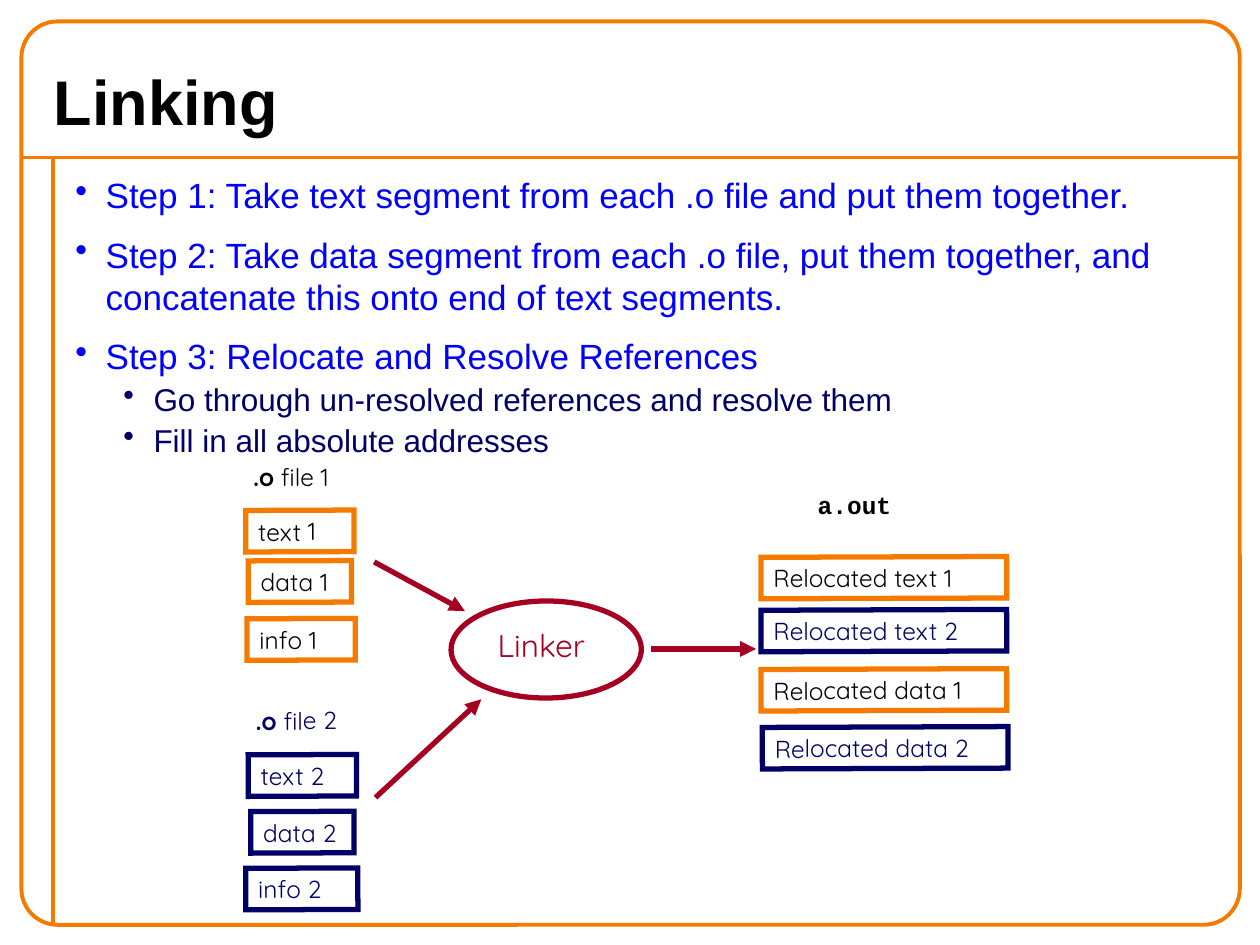
from pptx import Presentation
from pptx.util import Inches, Pt
from pptx.dml.color import RGBColor
from pptx.enum.shapes import MSO_SHAPE, MSO_CONNECTOR
from pptx.enum.text import MSO_ANCHOR, PP_ALIGN
from lxml import etree

ORANGE = RGBColor(0xF4, 0x7A, 0x00)
NAVY = RGBColor(0x00, 0x00, 0x66)
BLUE = RGBColor(0x00, 0x00, 0xFF)
RED = RGBColor(0xA5, 0x00, 0x21)
BLACK = RGBColor(0, 0, 0)
TILT = -0.2
HIGH = 0.33

STEPS = [
    (0, "Step 1: Take text segment from each .o file and put them together."),
    (0, "Step 2: Take data segment from each .o file, put them together, "
        "and concatenate this onto end of text segments."),
    (0, "Step 3: Relocate and Resolve References"),
    (1, "Go through un-resolved references and resolve them"),
    (1, "Fill in all absolute addresses"),
]
# level: size, colour, left indent, space before
LEVELS = [(20, BLUE, 0.24, 10), (18, NAVY, 0.62, 1.8)]

# line and text colour of each source file
FILES = {1: (ORANGE, BLACK), 2: (NAVY, NAVY)}
# text, file, left, top, width, wrap
BOXES = [
    ("text 1", 1, 1.95, 4.05, 0.86, True),
    ("data 1", 1, 1.97, 4.45, 0.82, False),
    ("info 1", 1, 1.96, 4.91, 0.86, True),
    ("text 2", 2, 1.97, 5.99, 0.86, True),
    ("data 2", 2, 1.99, 6.44, 0.82, False),
    ("info 2", 2, 1.95, 6.89, 0.89, True),
    ("Relocated text 1", 1, 6.04, 4.42, 1.95, True),
    ("Relocated text 2", 2, 6.04, 4.84, 1.95, True),
    ("Relocated data 1", 1, 6.04, 5.31, 1.95, True),
    ("Relocated data 2", 2, 6.05, 5.77, 1.95, True),
]
# bold part, plain part, place, size, font, colour, wrap
LABELS = [
    (".o", " file 1", (1.91, 3.62, 0.95, HIGH), 14, "Quicksand", BLACK, False),
    (".o", " file 2", (1.93, 5.55, 0.95, HIGH), 14, "Quicksand", NAVY, False),
    ("", "Linker", (3.85, 4.92, 0.96, 0.4), 18, "Quicksand", RED, False),
    ("a.out", "", (6.39, 3.84, 1.25, HIGH), 14, "Courier New", BLACK, True),
]
RULES = [(0.17, 1.25, 9.83, 1.25), (0.42, 1.25, 0.42, 7.33)]
ARROWS = [(2.97, 4.46, 3.69, 4.85), (2.98, 6.33, 3.82, 5.55),
          (5.17, 5.15, 6, 5.15)]

deck = Presentation()
deck.slide_width, deck.slide_height = Inches(10), Inches(7.5)
slide = deck.slides.add_slide(deck.slide_layouts[6])
shapes = slide.shapes


def add_tag(parent, name, **attrs):
    """Append a drawing element to parent."""
    uri = "http://schemas.openxmlformats.org/drawingml/2006/main"
    return etree.SubElement(parent, "{%s}%s" % (uri, name), attrs)


def set_font(font, size, name, color):
    """Set size, face and colour of a font."""
    font.size, font.name = Pt(size), name
    font.color.rgb = color


def draw_line(ends, color, width, arrow=False):
    """Draw a straight line, with an arrowhead at its end if asked."""
    line = shapes.add_connector(MSO_CONNECTOR.STRAIGHT, *map(Inches, ends))
    line.line.color.rgb, line.line.width = color, Pt(width)
    props = line._element.spPr
    if arrow:
        add_tag(props.find("{*}ln"), "tailEnd", type="triangle")
    add_tag(props, "effectLst")


def draw_shape(kind, place, color, width, tilt=0):
    """Draw an unfilled outline shape with sharp corners."""
    shape = shapes.add_shape(kind, *map(Inches, place))
    shape.shadow.inherit = False
    shape.fill.background()
    shape.line.color.rgb, shape.line.width = color, Pt(width)
    add_tag(shape._element.spPr.find("{*}ln"), "miter", lim="800000")
    shape.rotation = tilt
    return shape


def add_text(place, wrap=True, tilt=0):
    """Add a text box and return its frame."""
    box = shapes.add_textbox(*map(Inches, place))
    box.rotation = tilt
    box.text_frame.word_wrap = wrap
    return box.text_frame


def add_step(para, level, text):
    """Fill one bulleted paragraph."""
    size, color, left, before = LEVELS[level]
    para.text, para.level = text, level
    para.space_before = Pt(before)
    set_font(para.font, size, "Arial", color)
    props = para._p.get_or_add_pPr()
    props.set("marL", str(Inches(left)))
    props.set("indent", str(Inches(-0.24)))
    bullet = add_tag(props, "buChar", char="•")
    props.find("{*}defRPr").addprevious(bullet)


for ends in RULES:
    draw_line(ends, ORANGE, 2.24)
frame = draw_shape(MSO_SHAPE.ROUNDED_RECTANGLE, (0.17, 0.17, 9.67, 7.17),
                   ORANGE, 2.24)
frame.adjustments[0] = 0.04

title = add_text((0.33, 0.42, 9.33, 0.75))
title.vertical_anchor = MSO_ANCHOR.MIDDLE
title.text = "Linking"
set_font(title.paragraphs[0].font, 36, "Arial", BLACK)
title.paragraphs[0].font.bold = True

body = add_text((0.5, 1.33, 9.25, 6))
for i, step in enumerate(STEPS):
    add_step(body.add_paragraph() if i else body.paragraphs[0], *step)

for text, file, left, top, width, wrap in BOXES:
    edge, ink = FILES[file]
    box = draw_shape(MSO_SHAPE.RECTANGLE, (left, top, width, HIGH),
                     edge, 3, TILT)
    area = box.text_frame
    area.text, area.word_wrap = text, wrap
    area.vertical_anchor = MSO_ANCHOR.TOP
    area.paragraphs[0].alignment = PP_ALIGN.LEFT
    set_font(area.paragraphs[0].font, 14, "Quicksand", ink)

for bold, plain, place, size, face, color, wrap in LABELS:
    para = add_text(place, wrap, TILT).paragraphs[0]
    set_font(para.font, size, face, color)
    for text, heavy in ((bold, True), (plain, False)):
        if text:
            run = para.add_run()
            run.text, run.font.bold = text, heavy

draw_shape(MSO_SHAPE.OVAL, (3.58, 4.77, 1.51, 0.77), RED, 3, TILT)
for ends in ARROWS:
    draw_line(ends, RED, 3, arrow=True)

deck.save("out.pptx")
